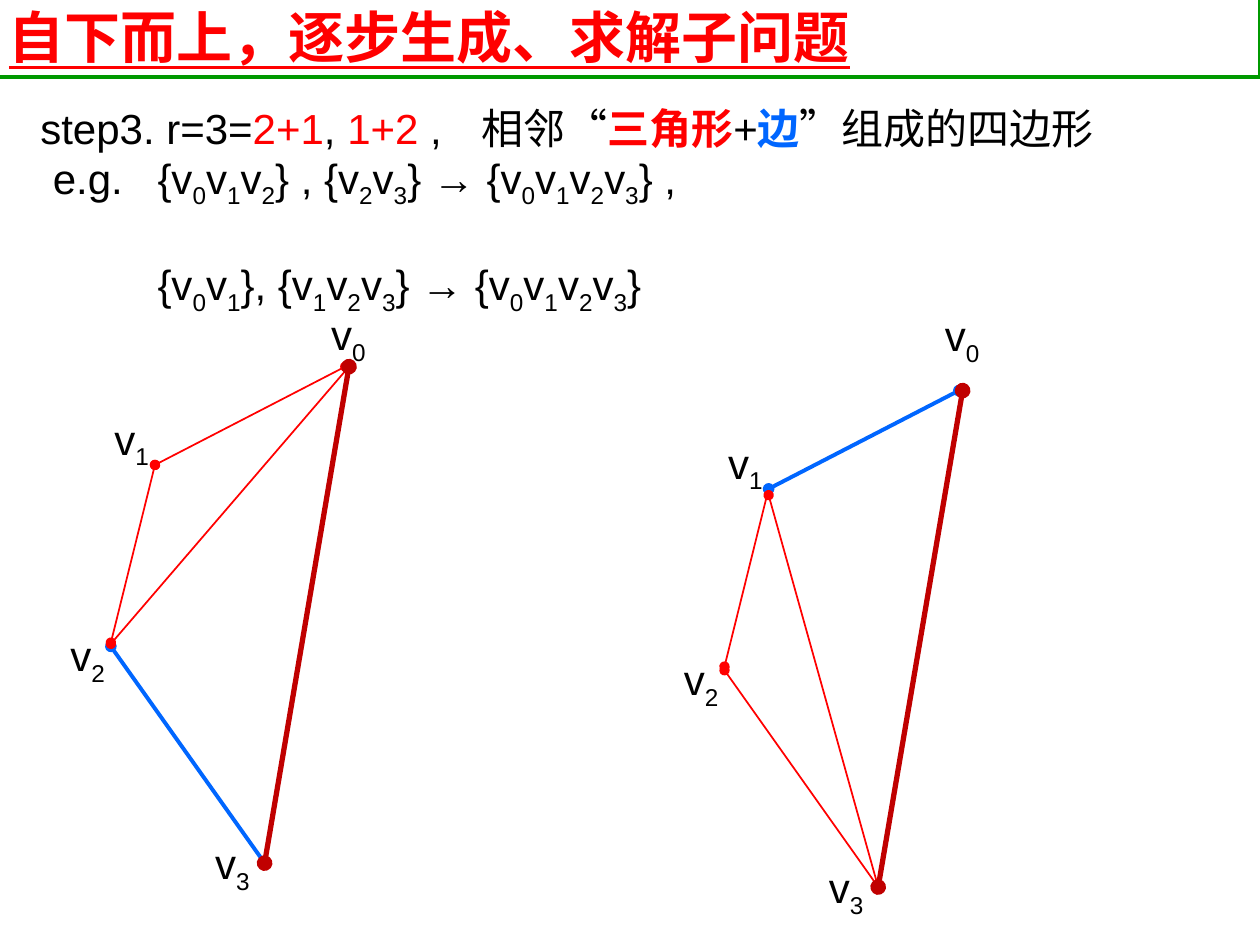
from dataclasses import dataclass
from pptx import Presentation
from pptx.dml.color import RGBColor
from pptx.enum.shapes import MSO_CONNECTOR as CONN
from pptx.enum.text import MSO_ANCHOR as ANCHOR, MSO_AUTO_SIZE as AUTO, PP_ALIGN as ALIGN
from pptx.oxml.ns import qn
from pptx.util import Inches, Pt
from lxml.etree import SubElement


@dataclass(frozen=True)
class Theme:
    font: str = "Arial"
    title_size: int = 32
    body_size: int = 24
    black: str = "000000"
    red: str = "FF0000"
    blue: str = "0066FF"
    dark_red: str = "C00000"
    green: str = "009900"
    thin: float = 1
    medium: float = 2.25
    thick: float = 3


T = Theme()

LABELS = [(2.53, 2.4), (0.81, 3.23), (0.46, 4.95), (1.61, 6.6)]
V0, V0_NEAR = (2.77, 2.91), (2.74, 2.91)
V1, V1_LOW = (1.23, 3.69), (1.23, 3.74)
V2_HIGH, V2_MID, V2 = (0.88, 5.1), (0.88, 5.11), (0.88, 5.13)
V3 = (2.1, 6.85)


def write(p, text, size=T.body_size, color=T.black, bold=False, underline=False):
    first, *rest = text.split("_")
    pieces = [(first, False)]
    for part in rest:
        pieces += [(part[0], True), (part[1:], False)]
    for piece, subscript in pieces:
        if not piece:
            continue
        r = p.add_run()
        r.text = piece
        r.font.name, r.font.size = T.font, Pt(size)
        r.font.bold, r.font.underline = bold, underline
        r.font.color.rgb = RGBColor.from_string(color)
        if subscript:
            r._r.get_or_add_rPr().set("baseline", "-25000")


def place(sp, left, top, width, height):
    sp.left, sp.top = Inches(left), Inches(top)
    sp.width, sp.height = Inches(width), Inches(height)


def add_title(s, text):
    sp = s.shapes.title
    place(sp, -0.03, -0.03, 10.03, 0.64)
    sp.line.color.rgb = RGBColor.from_string(T.green)
    sp.line.width = Pt(T.medium)
    tf = sp.text_frame
    tf.auto_size, tf.vertical_anchor = AUTO.NONE, ANCHOR.MIDDLE
    p = tf.paragraphs[0]
    p.alignment = ALIGN.LEFT
    write(p, text, size=T.title_size, color=T.red, bold=True, underline=True)


def layout_paragraph(p, margin=0, indent=0, tabs=(), before=0):
    pPr = p._p.get_or_add_pPr()
    pPr.set("marL", str(Inches(margin)))
    pPr.set("indent", str(Inches(indent)))
    SubElement(pPr, qn("a:buNone"))
    if tabs:
        tab_list = SubElement(pPr, qn("a:tabLst"))
        for pos in tabs:
            SubElement(tab_list, qn("a:tab"), pos=str(Inches(pos)), algn="l")
    p.space_before = Pt(before)


def add_body(s):
    sp = s.placeholders[1]
    place(sp, 0.22, 0.76, 9.36, 1.72)
    tf = sp.text_frame
    tf.auto_size, tf.vertical_anchor = AUTO.NONE, ANCHOR.TOP

    p = tf.paragraphs[0]
    layout_paragraph(p, tabs=(1.09, 3.55))
    write(p, "step3.\tr=3=")
    write(p, "2+1", color=T.red)
    write(p, ", ")
    write(p, "1+2", color=T.red)
    write(p, " ,\t相邻“")
    write(p, "三角形", color=T.red, bold=True)
    write(p, "+")
    write(p, "边", color=T.blue, bold=True)
    write(p, "”组成的四边形")

    p = tf.add_paragraph()
    layout_paragraph(p, margin=0.93, indent=-0.83, tabs=(0.93,))
    write(p, "e.g.\t{v_0v_1v_2} , {v_2v_3} → {v_0v_1v_2v_3} ,")

    p = tf.add_paragraph()
    layout_paragraph(p, margin=0.93, before=28)
    write(p, "{v_0v_1}, {v_1v_2v_3} → {v_0v_1v_2v_3}")


def add_label(s, text, left, top):
    sp = s.shapes.add_textbox(Inches(left), Inches(top), Inches(0.49), Inches(0.51))
    sp.text_frame.word_wrap = False
    write(sp.text_frame.paragraphs[0], text)


def add_edge(s, start, end, color, width):
    line = s.shapes.add_connector(CONN.STRAIGHT, *map(Inches, start + end))
    line.line.color.rgb = RGBColor.from_string(color)
    line.line.width = Pt(width)
    ln = line.line._get_or_add_ln()
    for tag in ("a:headEnd", "a:tailEnd"):
        SubElement(ln, qn(tag), type="oval")
    SubElement(line._element.spPr, qn("a:effectLst"))


def add_polygon(s, edges, dx=0, dy=0, v0_label_dy=0):
    for i, (x, y) in enumerate(LABELS):
        add_label(s, f"v_{i}", x + dx, y + (dy if i else v0_label_dy))
    for (x1, y1), (x2, y2), color, width in edges:
        add_edge(s, (x1 + dx, y1 + dy), (x2 + dx, y2 + dy), color, width)


def main():
    prs = Presentation()
    prs.slide_width, prs.slide_height = Inches(10), Inches(7.5)
    s = prs.slides.add_slide(prs.slide_layouts[1])
    add_title(s, "自下而上，逐步生成、求解子问题")
    add_body(s)

    red_edge = (T.red, T.thin)
    blue_edge = (T.blue, T.medium)
    closing_edge = (V0, V3, T.dark_red, T.thick)
    add_polygon(s, [
        (V2, V3, *blue_edge),
        (V1, V2_HIGH, *red_edge),
        (V1, V0_NEAR, *red_edge),
        (V0, V2_MID, *red_edge),
        closing_edge,
    ])
    add_polygon(s, [
        (V2, V3, *red_edge),
        (V1, V2_HIGH, *red_edge),
        (V1, V0_NEAR, *blue_edge),
        (V1_LOW, V3, *red_edge),
        closing_edge,
    ], dx=4.87, dy=0.19, v0_label_dy=0.01)
    prs.save("out.pptx")


if __name__ == "__main__":
    main()
